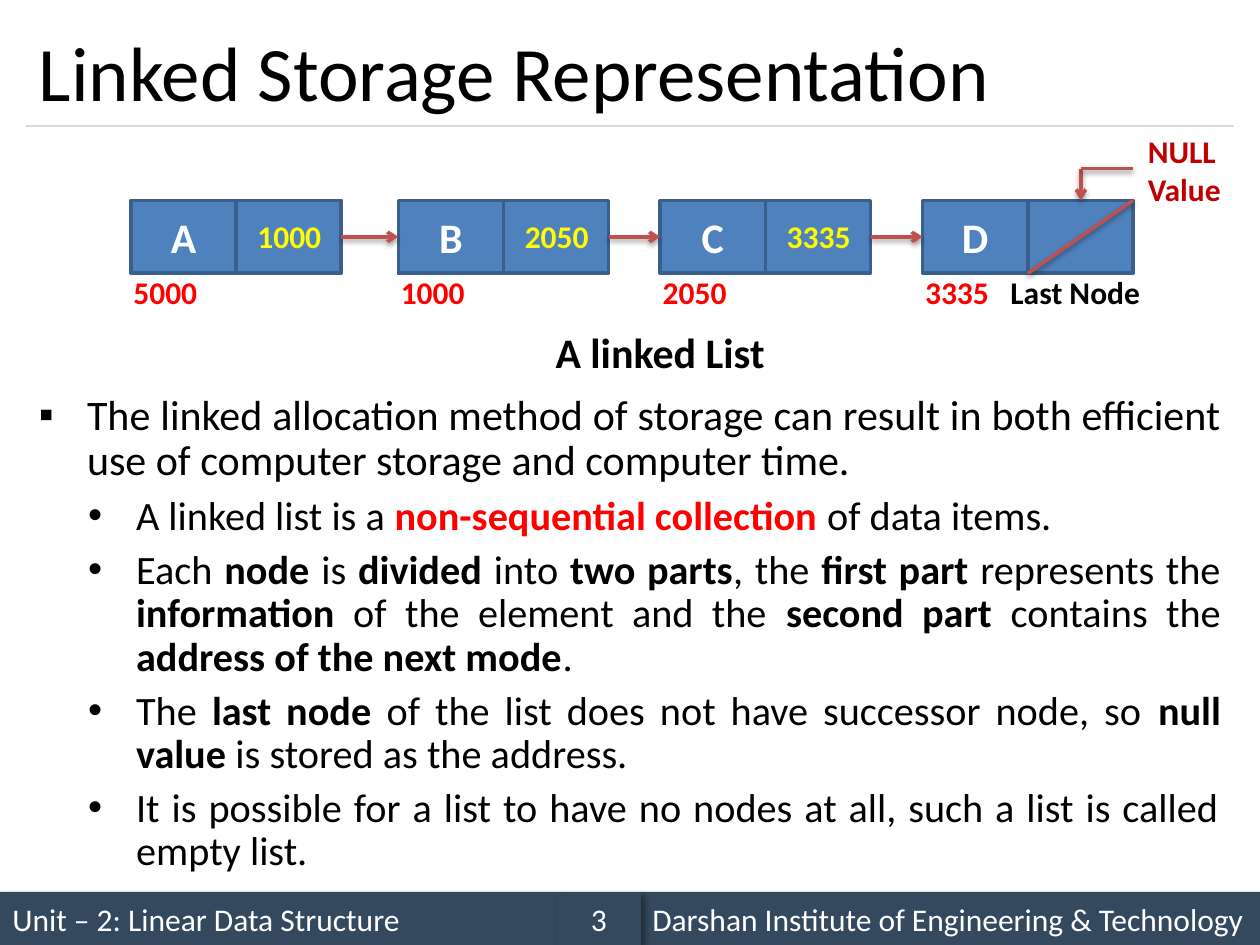
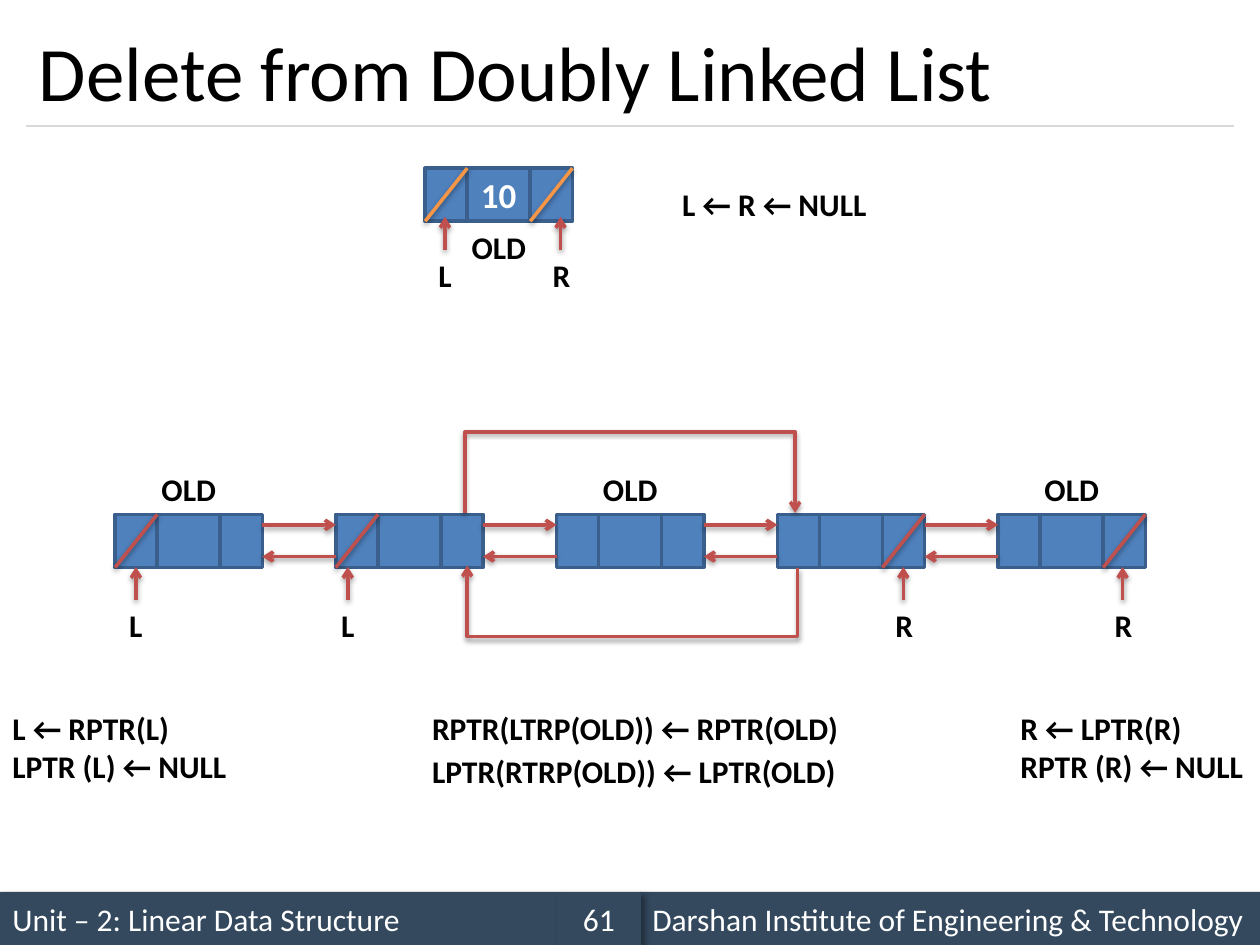
"""Builds two slides on linked lists and doubly linked lists."""
from dataclasses import dataclass

from lxml.etree import SubElement
from pptx import Presentation
from pptx.dml.color import RGBColor
from pptx.enum.shapes import MSO_CONNECTOR, MSO_SHAPE
from pptx.enum.text import MSO_ANCHOR, MSO_AUTO_SIZE, PP_ALIGN
from pptx.oxml.ns import qn
from pptx.util import Cm, Pt

RECT = MSO_SHAPE.RECTANGLE
STRAIGHT = MSO_CONNECTOR.STRAIGHT
LEFT, CENTER, JUSTIFY = PP_ALIGN.LEFT, PP_ALIGN.CENTER, PP_ALIGN.JUSTIFY
MIDDLE, TOP = MSO_ANCHOR.MIDDLE, MSO_ANCHOR.TOP
FIT_SHAPE, NO_FIT = MSO_AUTO_SIZE.SHAPE_TO_FIT_TEXT, MSO_AUTO_SIZE.NONE

FONT = "Calibri"
COLORS = {
    "text": "000000", "white": "FFFFFF", "band": "34495E", "rule": "D9D9D9",
    "cell": "4F81BD", "edge": "3A5F8C", "arrow": "C0504D", "slash": "F79646",
    "address": "FF0000", "link": "FFFF00", "null": "C00000",
}
TITLE_LAYOUT, CONTENT_LAYOUT = 5, 1
LABEL_H = 1.02


@dataclass
class Shadow:
    """Outer shadow: opacity in percent, blur and distance in points, angle in degrees."""
    alpha: int
    blur: float
    dist: float
    angle: int


BAND_SHADOW = Shadow(40, 4, 3, 45)
LINE_SHADOW = Shadow(38, 3.1, 1.6, 90)


@dataclass
class Item:
    """List item in which ** encloses bold text."""
    text: str
    level: int = 1
    bold_color: str = "text"


@dataclass
class Level:
    """Format of a list level."""
    size: int
    margin: float
    bullet: str


@dataclass
class Label:
    """Bold text box that hugs its text."""
    text: str
    left: float
    top: float
    width: float
    height: float = LABEL_H
    size: int = 18
    color: str = "text"
    align: PP_ALIGN = LEFT


@dataclass
class Node:
    """Singly linked node with its own address and the next one."""
    name: str
    left: float
    address: str
    link: str = ""


@dataclass
class DoubleNode:
    """Doubly linked node with two pointer cells around a value cell."""
    left: float
    top: float
    value: str = ""

    @property
    def right(self) -> float:
        """Right edge."""
        return self.left + 2 * POINTER_W + VALUE_W

    @property
    def center(self) -> float:
        """Horizontal centre."""
        return (self.left + self.right) / 2


LEVELS = [Level(24, 0.97, "▪"), Level(23, 1.96, "•")]
HANGING = 0.97

CELL_W, CELL_H, CELL_TOP = 2.12, 1.47, 4.04
NODES = [Node("A", 2.64, "5000", "1000"), Node("B", 8.03, "1000", "2050"),
         Node("C", 13.31, "2050", "3335"), Node("D", 18.6, "3335")]
ITEMS = [
    Item("The linked allocation method of storage can result in both efficient "
         "use of computer storage and computer time.", 0),
    Item("A linked list is a **non-sequential collection **of data items.", bold_color="address"),
    Item("Each **node** is **divided** into **two parts**, the **first part **represents the "
         "**information** of the element and the **second part **contains the "
         "**address of the next mode**."),
    Item("The **last node **of the list does not have successor node, so "
         "**null value **is stored as the address."),
    Item("It is possible for a list to have no nodes at all, such a list is called empty list."),
]

POINTER_W, VALUE_W, DOUBLE_H = 0.85, 1.27, 1.07
PITCH, ROW_LEFT, ROW_TOP = 4.45, 2.32, 10.37
POINTER_LEN = 0.66
STATEMENTS = [
    Label("L ← R ← NULL", 13.44, 3.61, 4.34, align=CENTER),
    Label("L ← RPTR(L)\nLPTR (L) ← NULL", 0, 14.17, 5.08, 1.8),
    Label("R ← LPTR(R)\nRPTR (R) ← NULL", 20.32, 14.17, 5.08, 1.8),
    Label("RPTR(LTRP(OLD)) ← RPTR(OLD)", 8.46, 14.17, 8.86),
    Label("LPTR(RTRP(OLD)) ← LPTR(OLD)", 8.46, 15.04, 8.81),
]
BYPASSES = [
    [(9.37, 10.34), (9.37, 8.71), (16.03, 8.71), (16.03, 10.34)],
    [(16.08, 11.46), (16.08, 12.83), (9.42, 12.83), (9.42, 11.4)],
]


def rgb(name: str) -> RGBColor:
    """Return the palette colour of that name."""
    return RGBColor.from_string(COLORS[name])


def style_run(r, size: int, color: str, bold: bool = False) -> None:
    """Format one run."""
    r.font.name, r.font.size, r.font.bold = FONT, Pt(size), bold
    r.font.color.rgb = rgb(color)


def write(tf, text: str, size: int, color: str = "text", bold: bool = False,
          align: PP_ALIGN = LEFT) -> None:
    """Fill a text frame, one paragraph for each line."""
    for i, line in enumerate(text.split("\n")):
        p = tf.add_paragraph() if i else tf.paragraphs[0]
        p.text, p.alignment = line, align
        for r in p.runs:
            style_run(r, size, color, bold)


def add_shadow(shape, shadow: Shadow) -> None:
    """Give a shape or connector an outer shadow."""
    effects = SubElement(shape.element.spPr, qn("a:effectLst"))
    outer = SubElement(effects, qn("a:outerShdw"), blurRad=str(Pt(shadow.blur)),
                       dist=str(Pt(shadow.dist)), dir=str(shadow.angle * 60000),
                       rotWithShape="0")
    tint = SubElement(outer, qn("a:srgbClr"), val=COLORS["text"])
    SubElement(tint, qn("a:alpha"), val=str(shadow.alpha * 1000))


def style_line(shape, color: str, arrow: bool) -> None:
    """Format a diagram line with its shadow and optional arrowhead."""
    shape.line.color.rgb, shape.line.width = rgb(color), Pt(2)
    if arrow:
        SubElement(shape.element.spPr.find(qn("a:ln")), qn("a:tailEnd"), type="arrow")
    add_shadow(shape, LINE_SHADOW)


def add_line(s, x1: float, y1: float, x2: float, y2: float, color: str = "arrow",
             arrow: bool = False) -> None:
    """Draw a straight diagram line."""
    style_line(s.shapes.add_connector(STRAIGHT, Cm(x1), Cm(y1), Cm(x2), Cm(y2)), color, arrow)


def add_path(s, points: list[tuple[float, float]]) -> None:
    """Draw an open bent arrow."""
    (x, y), *rest = [(Cm(px), Cm(py)) for px, py in points]
    builder = s.shapes.build_freeform(x, y)
    builder.add_line_segments(rest, close=False)
    sp = builder.convert_to_shape()
    sp.fill.background()
    style_line(sp, "arrow", True)


def add_label(s, label: Label) -> None:
    """Add a text box that does not wrap."""
    tb = s.shapes.add_textbox(Cm(label.left), Cm(label.top), Cm(label.width), Cm(label.height))
    tf = tb.text_frame
    tf.word_wrap, tf.auto_size = False, FIT_SHAPE
    write(tf, label.text, label.size, label.color, True, label.align)


def add_cell(s, left: float, top: float, width: float, height: float,
             text: str = "", size: int = 24) -> None:
    """Draw one cell of a node."""
    sp = s.shapes.add_shape(RECT, Cm(left), Cm(top), Cm(width), Cm(height))
    sp.shadow.inherit = False
    sp.fill.solid()
    sp.fill.fore_color.rgb = rgb("cell")
    sp.line.color.rgb, sp.line.width = rgb("edge"), Pt(2)
    if text:
        write(sp.text_frame, text, size, "white", True, CENTER)


def add_band(s, left: float, width: float, text: str, align: PP_ALIGN = LEFT) -> None:
    """Draw one part of the footer."""
    sp = s.shapes.add_shape(RECT, Cm(left), Cm(17.98), Cm(width), Cm(1.07))
    sp.fill.solid()
    sp.fill.fore_color.rgb = rgb("band")
    sp.line.fill.background()
    add_shadow(sp, BAND_SHADOW)
    sp.text_frame.word_wrap = True
    write(sp.text_frame, text, 18, "white", align=align)


def place(sp, top: float, height: float, anchor: MSO_ANCHOR):
    """Move a placeholder and return its text frame."""
    sp.left, sp.top, sp.width, sp.height = Cm(0.53), Cm(top), Cm(24.34), Cm(height)
    tf = sp.text_frame
    tf.auto_size, tf.vertical_anchor = NO_FIT, anchor
    return tf


def new_slide(prs, layout: int, title: str, number: int):
    """Add a slide with title, rule and footer."""
    s = prs.slides.add_slide(prs.slide_layouts[layout])
    write(place(s.shapes.title, 0.3, 2.24, MIDDLE), title, 44)
    rule = s.shapes.add_connector(STRAIGHT, Cm(0.53), Cm(2.54), Cm(24.87), Cm(2.54))
    rule.line.color.rgb, rule.line.width = rgb("rule"), Pt(0.75)
    SubElement(rule.element.spPr, qn("a:effectLst"))
    add_band(s, 0, 11.23, "Unit – 2: Linear Data Structure")
    add_band(s, 12.9, 12.5, "Darshan Institute of Engineering & Technology")
    add_band(s, 11.23, 1.69, str(number), CENTER)
    return s


def write_items(tf, items: list[Item]) -> None:
    """Fill the body with bulleted items."""
    for i, item in enumerate(items):
        level = LEVELS[item.level]
        p = tf.add_paragraph() if i else tf.paragraphs[0]
        p.level, p.alignment, p.line_spacing = item.level, JUSTIFY, 0.9
        p.space_before = Pt(6 if i else 0)
        pPr = p._p.get_or_add_pPr()
        pPr.set("marL", str(Cm(level.margin)))
        pPr.set("indent", str(-Cm(HANGING)))
        SubElement(pPr, qn("a:buChar"), char=level.bullet)
        for j, part in enumerate(item.text.split("**")):
            bold = j % 2 == 1
            r = p.add_run()
            r.text = part
            style_run(r, level.size, item.bold_color if bold else "text", bold)


def build_linked_storage(prs) -> None:
    """Build the slide on linked storage."""
    s = new_slide(prs, CONTENT_LAYOUT, "Linked Storage Representation", 3)
    write_items(place(s.placeholders[1], 7.82, 9.96, TOP), ITEMS)
    bottom, mid = CELL_TOP + CELL_H, CELL_TOP + CELL_H / 2
    for node in NODES:
        add_cell(s, node.left, CELL_TOP, CELL_W, CELL_H, node.name)
        add_cell(s, node.left + CELL_W, CELL_TOP, CELL_W, CELL_H)
        add_label(s, Label(node.address, node.left - 0.2, 5.38, 1.8, color="address"))
        if node.link:
            add_label(s, Label(node.link, node.left + 2.3, 4.25, 1.8, color="link"))
    for node, following in zip(NODES, NODES[1:]):
        add_line(s, node.left + 2 * CELL_W, mid, following.left, mid, arrow=True)
    link_left = NODES[-1].left + CELL_W
    link_right = link_left + CELL_W
    add_line(s, link_right, CELL_TOP, link_left, bottom)
    add_line(s, 21.79, 3.4, 21.79, CELL_TOP, arrow=True)
    add_line(s, 21.79, 3.4, link_right, 3.4)
    add_label(s, Label("NULL \vValue", 22.89, 2.54, 2.06, 1.8, color="null"))
    add_label(s, Label("Last Node", 20.12, 5.38, 3.15))
    add_label(s, Label("A linked List", 10.95, 6.45, 4.78, 1.27, size=24))


def add_double_node(s, node: DoubleNode) -> None:
    """Draw the three cells of a node."""
    add_cell(s, node.left + POINTER_W, node.top, VALUE_W, DOUBLE_H, node.value, 20)
    for left in (node.left, node.right - POINTER_W):
        add_cell(s, left, node.top, POINTER_W, DOUBLE_H)


def add_slash(s, left: float, top: float, color: str = "arrow") -> None:
    """Mark a pointer cell as null."""
    add_line(s, left + POINTER_W, top, left, top + DOUBLE_H, color)


def add_pointer(s, name: str, x: float, tip: float) -> None:
    """Draw a named arrow that points up."""
    start = tip + POINTER_LEN
    add_line(s, x, start, x, tip, arrow=True)
    add_label(s, Label(name, x - 0.41, start, 0.82, align=CENTER))


def build_doubly_linked_delete(prs) -> None:
    """Build the slide on deletion from a doubly linked list."""
    s = new_slide(prs, TITLE_LAYOUT, "Delete from Doubly Linked List", 61)
    single = DoubleNode(8.57, 3.39, "10")
    row = [DoubleNode(ROW_LEFT + i * PITCH, ROW_TOP) for i in range(5)]
    for node in [single, *row]:
        add_double_node(s, node)
    for node, following in zip(row, row[1:]):
        add_line(s, node.right, 10.58, following.left, 10.58, arrow=True)
        add_line(s, following.left, 11.22, node.right, 11.22, arrow=True)
    for left in (single.left, single.right - POINTER_W):
        add_slash(s, left, single.top, "slash")
    for left in (row[0].left, row[1].left, row[3].right - POINTER_W, row[4].right - POINTER_W):
        add_slash(s, left, ROW_TOP)
    for name, x, tip in [("L", 8.97, 4.37), ("R", 11.3, 4.37), ("L", 2.74, 11.43),
                         ("L", 7.01, 11.43), ("R", 18.21, 11.43), ("R", 22.63, 11.43)]:
        add_pointer(s, name, x, tip)
    for node, top in [(single, 4.47), (row[0], 9.35), (row[2], 9.35), (row[4], 9.35)]:
        add_label(s, Label("OLD", node.center - 0.81, top, 1.62, align=CENTER))
    for points in BYPASSES:
        add_path(s, points)
    for statement in STATEMENTS:
        add_label(s, statement)


def main() -> None:
    """Build and save the presentation."""
    prs = Presentation()
    prs.slide_width, prs.slide_height = Cm(25.4), Cm(19.05)
    build_linked_storage(prs)
    build_doubly_linked_delete(prs)
    prs.save("out.pptx")


if __name__ == "__main__":
    main()
